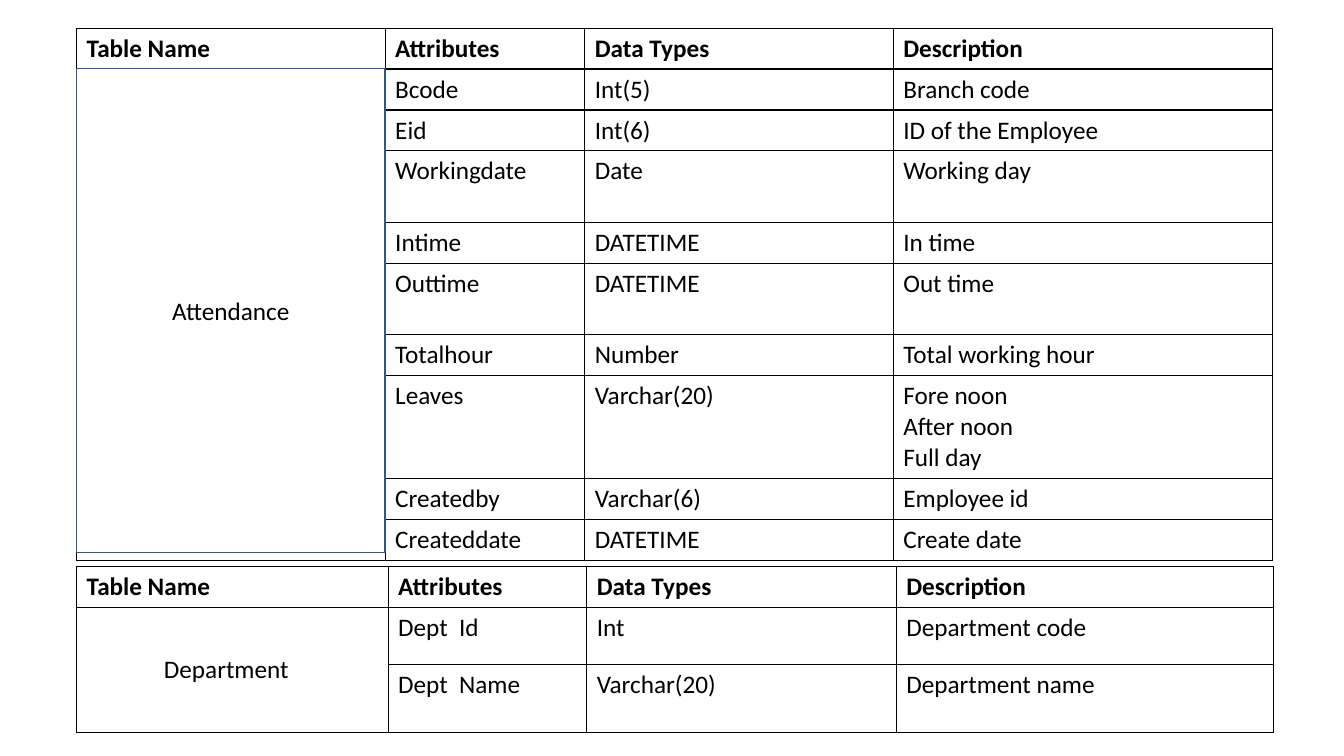
import dataclasses

import pptx
import pptx.dml.color
import pptx.enum.shapes
import pptx.enum.text
import pptx.oxml
import pptx.oxml.ns
import pptx.util

Inches = pptx.util.Inches
Pt = pptx.util.Pt
CENTER = pptx.enum.text.PP_ALIGN.CENTER
MIDDLE = pptx.enum.text.MSO_ANCHOR.MIDDLE


@dataclasses.dataclass(frozen=True)
class Theme:
    font: str = "Calibri"
    size: int = 18
    ink: str = "000000"
    paper: str = "FFFFFF"
    outline: str = "325491"
    line_width: int = 1


def rgb(code):
    return pptx.dml.color.RGBColor.from_string(code)


class SchemaSlide:
    """Holds the theme and the slide that its methods draw on."""

    def __init__(self, slide, theme):
        self.slide = slide
        self.theme = theme

    def format_text(self, frame, bold=False, align=None):
        for paragraph in frame.paragraphs:
            paragraph.alignment = align
            for run in paragraph.runs:
                run.font.name = self.theme.font
                run.font.size = Pt(self.theme.size)
                run.font.bold = bold
                run.font.color.rgb = rgb(self.theme.ink)

    def style_cell(self, cell):
        """Give the cell a thin border on all sides and a plain fill."""
        properties = cell._tc.get_or_add_tcPr()
        for side in ("lnL", "lnR", "lnT", "lnB"):
            properties.append(pptx.oxml.parse_xml(
                f'<a:{side} {pptx.oxml.ns.nsdecls("a")} w="{Pt(self.theme.line_width)}">'
                f'<a:solidFill><a:srgbClr val="{self.theme.ink}"/></a:solidFill></a:{side}>'))
        cell.fill.solid()
        cell.fill.fore_color.rgb = rgb(self.theme.paper)

    def add_schema(self, left, top, widths, heights, records):
        """Add a table whose first record is the bold header."""
        table = self.slide.shapes.add_table(
            len(heights), len(widths), Inches(left), Inches(top),
            Inches(sum(widths)), Inches(sum(heights))).table
        for column, width in zip(table.columns, widths):
            column.width = Inches(width)
        for row, height in zip(table.rows, heights):
            row.height = Inches(height)
        for row_index, record in enumerate(records):
            for column_index, wording in enumerate(record):
                cell = table.cell(row_index, column_index)
                cell.text_frame.text = wording
                self.format_text(cell.text_frame, bold=row_index == 0)
                self.style_cell(cell)
        return table

    def add_name_box(self, left, top, width, height, name):
        box = self.slide.shapes.add_shape(
            pptx.enum.shapes.MSO_SHAPE.RECTANGLE,
            Inches(left), Inches(top), Inches(width), Inches(height))
        box.shadow.inherit = False
        box.fill.solid()
        box.fill.fore_color.rgb = rgb(self.theme.paper)
        box.line.color.rgb = rgb(self.theme.outline)
        box.line.width = Pt(self.theme.line_width)
        box.text_frame.text = name
        box.text_frame.vertical_anchor = MIDDLE
        self.format_text(box.text_frame, align=CENTER)

    def add_merged_name(self, table, first_row, last_row):
        """Merge the first column over the rows and centre its name."""
        cell = table.cell(first_row, 0)
        cell.merge(table.cell(last_row, 0))
        cell.vertical_anchor = MIDDLE
        cell.margin_right = Inches(0.22)
        self.format_text(cell.text_frame, align=CENTER)


HEADER = ("Table Name", "Attributes", "Data Types", "Description")
ATTENDANCE = (
    HEADER,
    ("", "Bcode", "Int(5)", "Branch code"),
    ("", "Eid", "Int(6)", "ID of the Employee"),
    ("", "Workingdate", "Date", "Working day"),
    ("", "Intime", "DATETIME", "In time"),
    ("", "Outtime", "DATETIME", "Out time"),
    ("", "Totalhour", "Number", "Total working hour"),
    ("", "Leaves", "Varchar(20)", "Fore noon\nAfter noon\nFull day"),
    ("", "Createdby", "Varchar(6)", "Employee id"),
    ("", "Createddate", "DATETIME", "Create date"),
)
DEPARTMENT = (
    HEADER,
    ("Department", "Dept  Id", "Int", "Department code"),
    ("", "Dept  Name", "Varchar(20)", "Department name"),
)
LEFT = 0.76
SINGLE, DOUBLE, TRIPLE = 0.4, 0.71, 1.02


def main():
    deck = pptx.Presentation()
    deck.slide_width = Inches(13.33)
    deck.slide_height = Inches(7.5)
    schema = SchemaSlide(deck.slides.add_slide(deck.slide_layouts[6]), Theme())

    attendance_heights = (SINGLE, SINGLE, SINGLE, DOUBLE, SINGLE,
                          DOUBLE, SINGLE, TRIPLE, SINGLE, SINGLE)
    schema.add_schema(LEFT, 0.28, (3.06, 1.98, 3.06, 3.76), attendance_heights, ATTENDANCE)
    schema.add_name_box(LEFT, 0.68, 3.06, 4.8, "Attendance")

    department = schema.add_schema(
        LEFT, 5.62, (3.09, 1.97, 3.07, 3.74), (SINGLE, 0.57, 0.67), DEPARTMENT)
    schema.add_merged_name(department, 1, 2)

    deck.save("out.pptx")


if __name__ == "__main__":
    main()
